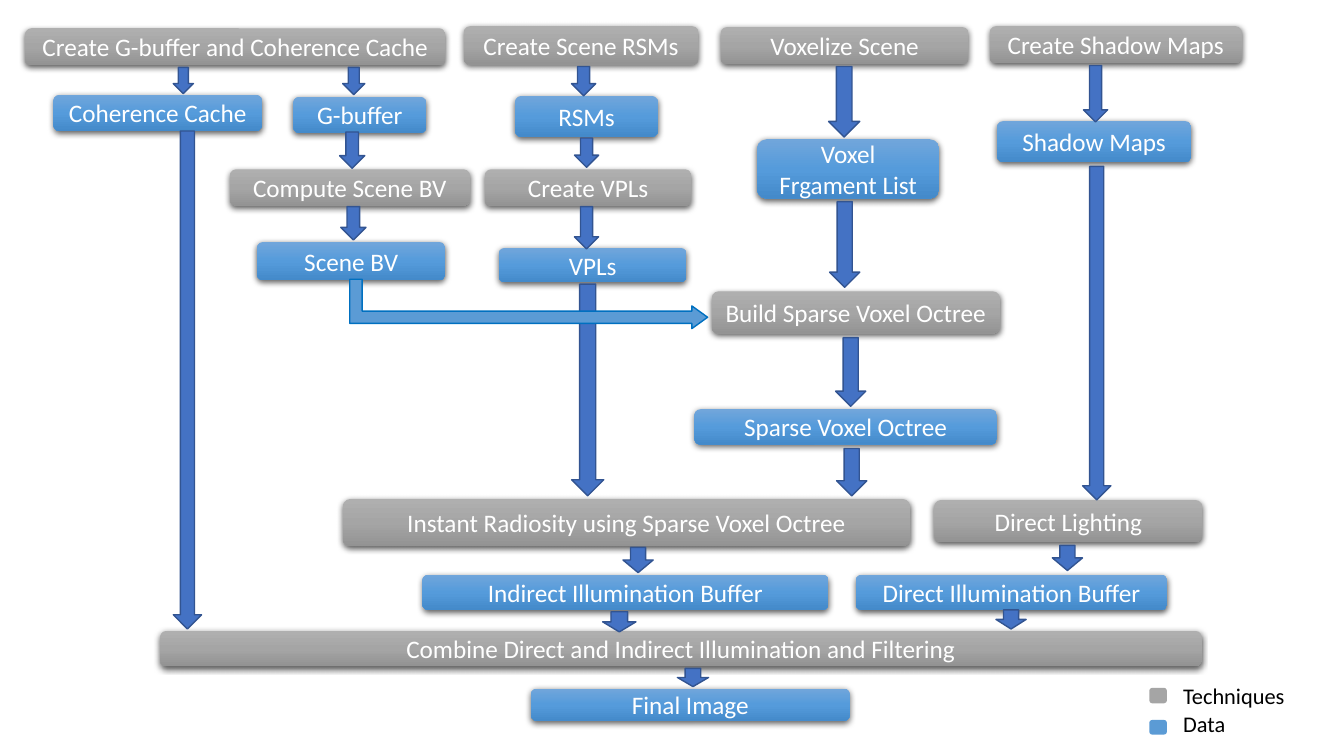
from copy import deepcopy

from pptx import Presentation
from pptx.dml.color import RGBColor
from pptx.enum.shapes import MSO_SHAPE as SHAPE
from pptx.enum.text import MSO_ANCHOR as ANCHOR, MSO_AUTO_SIZE as AUTO, PP_ALIGN as ALIGN
from pptx.oxml import parse_xml
from pptx.oxml.ns import nsdecls, qn
from pptx.util import Pt

WHITE = RGBColor(0xFF, 0xFF, 0xFF)
BLACK = RGBColor(0x00, 0x00, 0x00)
GRAY = RGBColor(0xA5, 0xA5, 0xA5)
BLUE = RGBColor(0x5B, 0x9B, 0xD5)
BENT_LINE = RGBColor(0x00, 0x70, 0xC0)
ARROW_FILL = RGBColor(0x44, 0x72, 0xC4)
ARROW_LINE = RGBColor(0x32, 0x54, 0x91)
TECHNIQUE = (RGBColor(0xAF, 0xAF, 0xAF), GRAY, RGBColor(0x93, 0x93, 0x93))
DATA = (RGBColor(0x71, 0xA6, 0xDB), RGBColor(0x55, 0x9B, 0xDB), RGBColor(0x44, 0x8A, 0xCA))

SHADOW = (
    f'<a:outerShdw {nsdecls("a")} blurRad="{Pt(4.5)}" dist="{Pt(1.5)}" dir="5400000" '
    'algn="ctr" rotWithShape="0"><a:srgbClr val="000000"><a:alpha val="63000"/>'
    '</a:srgbClr></a:outerShdw>'
)


class FlowSlide:
    font = "Calibri"

    def __init__(self, prs):
        self.shapes = prs.slides.add_slide(prs.slide_layouts[6]).shapes

    def shape(self, kind, x, y, w, h):
        sp = self.shapes.add_shape(kind, Pt(x), Pt(y), Pt(w), Pt(h))
        sp.shadow.inherit = False
        return sp

    def solid(self, kind, x, y, w, h, fill, line):
        sp = self.shape(kind, x, y, w, h)
        sp.fill.solid()
        sp.fill.fore_color.rgb = fill
        sp.line.color.rgb = line
        sp.line.width = Pt(1)
        return sp

    def label(self, sp, text, size, color, align):
        p = sp.text_frame.paragraphs[0]
        p.text = text
        p.alignment = align
        p.font.name = self.font
        p.font.size = Pt(size)
        p.font.color.rgb = color

    def box(self, text, colors, x, y, w, h):
        sp = self.shape(SHAPE.ROUNDED_RECTANGLE, x, y, w, h)
        sp.line.fill.background()
        sp.fill.gradient()
        sp.fill.gradient_angle = 270
        stops = sp._element.spPr.find(".//" + qn("a:gsLst"))
        stops.append(deepcopy(stops[0]))
        for stop, color, position in zip(sp.fill.gradient_stops, colors, (0, 0.5, 1)):
            stop.color.rgb = color
            stop.position = position
        sp._element.spPr.find(qn("a:effectLst")).append(parse_xml(SHADOW))
        sp.text_frame.vertical_anchor = ANCHOR.MIDDLE
        self.label(sp, text, 18, WHITE, ALIGN.CENTER)

    def down_arrow(self, center, y, w, h):
        self.solid(SHAPE.DOWN_ARROW, center - w / 2, y, w, h, ARROW_FILL, ARROW_LINE)

    def bent_arrow(self, x, y, w, h, adjustments):
        sp = self.solid(SHAPE.BENT_UP_ARROW, x, y, w, h, BLUE, BENT_LINE)
        sp.rotation = 90
        for i, value in enumerate(adjustments):
            sp.adjustments[i] = value

    def legend(self, text, color, key_y, key_h, text_y, text_w):
        self.solid(SHAPE.ROUNDED_RECTANGLE, 821.5, key_y, 11.5, key_h, color, color)
        tb = self.shapes.add_textbox(Pt(838), Pt(text_y), Pt(text_w), Pt(26.6))
        tb.text_frame.word_wrap = True
        tb.text_frame.auto_size = AUTO.SHAPE_TO_FIT_TEXT
        self.label(tb, text, 16, BLACK, ALIGN.LEFT)


TECHNIQUES = [
    ("Create G-buffer and Coherence Cache", 18, 20.2, 300.2, 26.6),
    ("Create Scene RSMs", 331.2, 18.7, 167.8, 27.4),
    ("Voxelize Scene", 514.8, 19.4, 177.1, 26.6),
    ("Create Shadow Maps", 707, 18.7, 180, 26.6),
    ("Compute Scene BV", 164.2, 121, 171.4, 25.9),
    ("Create VPLs", 346.3, 121, 147.6, 25.9),
    ("Build Sparse Voxel Octree", 508.3, 208.1, 205.9, 30.2),
    ("Instant Radiosity using Sparse Voxel Octree", 244.8, 356.4, 405.4, 33.8),
    ("Direct Lighting", 667.4, 357.1, 191.5, 30.2),
    ("Combine Direct and Indirect Illumination and Filtering", 114.5, 450.7, 743.8, 25.2),
]
DATA_ITEMS = [
    ("Coherence Cache", 38.2, 67.7, 149, 25.9),
    ("G-buffer", 209.5, 69.1, 95, 25.9),
    ("RSMs", 367.9, 68.4, 102.2, 29.5),
    ("Voxel Frgament List", 540.7, 99.4, 130.3, 42.5),
    ("Shadow Maps", 712.1, 86.4, 139, 29.5),
    ("Scene BV", 183.6, 172.8, 134.6, 27.4),
    ("VPLs", 356.4, 177.1, 133.9, 24.5),
    ("Sparse Voxel Octree", 496.1, 292.3, 216, 25.2),
    ("Indirect Illumination Buffer", 301.7, 410.4, 290.2, 25.2),
    ("Direct Illumination Buffer", 611.3, 410.4, 222.5, 25.2),
    ("Final Image", 379.4, 491.8, 227.5, 23),
]
DOWN_ARROWS = [
    (131, 48.2, 14.4, 18.7),
    (133.9, 93.6, 20.2, 355.7),
    (252.7, 48.2, 15.8, 19.4),
    (251.6, 94.3, 18, 25.9),
    (252.4, 147.6, 18, 23.8),
    (416.9, 47.5, 17.3, 20.9),
    (419, 98.6, 17.3, 20.9),
    (419, 147.6, 17.3, 30.2),
    (419.8, 203, 23, 151.2),
    (603, 47.5, 22.3, 50.4),
    (603.4, 144, 21.6, 61.2),
    (607.7, 241.2, 21.6, 49),
    (608.4, 320.4, 21.6, 33.8),
    (782.6, 46.8, 17.3, 40.3),
    (783.4, 118.8, 20.2, 238.3),
    (455.8, 391, 21.6, 18),
    (762.5, 389.5, 21.6, 18),
    (442.4, 437, 23.8, 14.4),
    (722.2, 435.6, 21.6, 13.7),
    (495, 477.4, 22.3, 13),
]

prs = Presentation()
prs.slide_width, prs.slide_height = Pt(960), Pt(540)
s = FlowSlide(prs)
for colors, items in ((TECHNIQUE, TECHNIQUES), (DATA, DATA_ITEMS)):
    for text, *place in items:
        s.box(text, colors, *place)
for arrow in DOWN_ARROWS:
    s.down_arrow(*arrow)
s.bent_arrow(360, 89.3, 35.3, 255.6, (0.25, 0.23, 0.32))
s.legend("Techniques", GRAY, 491.8, 10.1, 483.8, 100.8)
s.legend("Data", BLUE, 514.8, 9.4, 504, 68.4)
prs.save("out.pptx")
